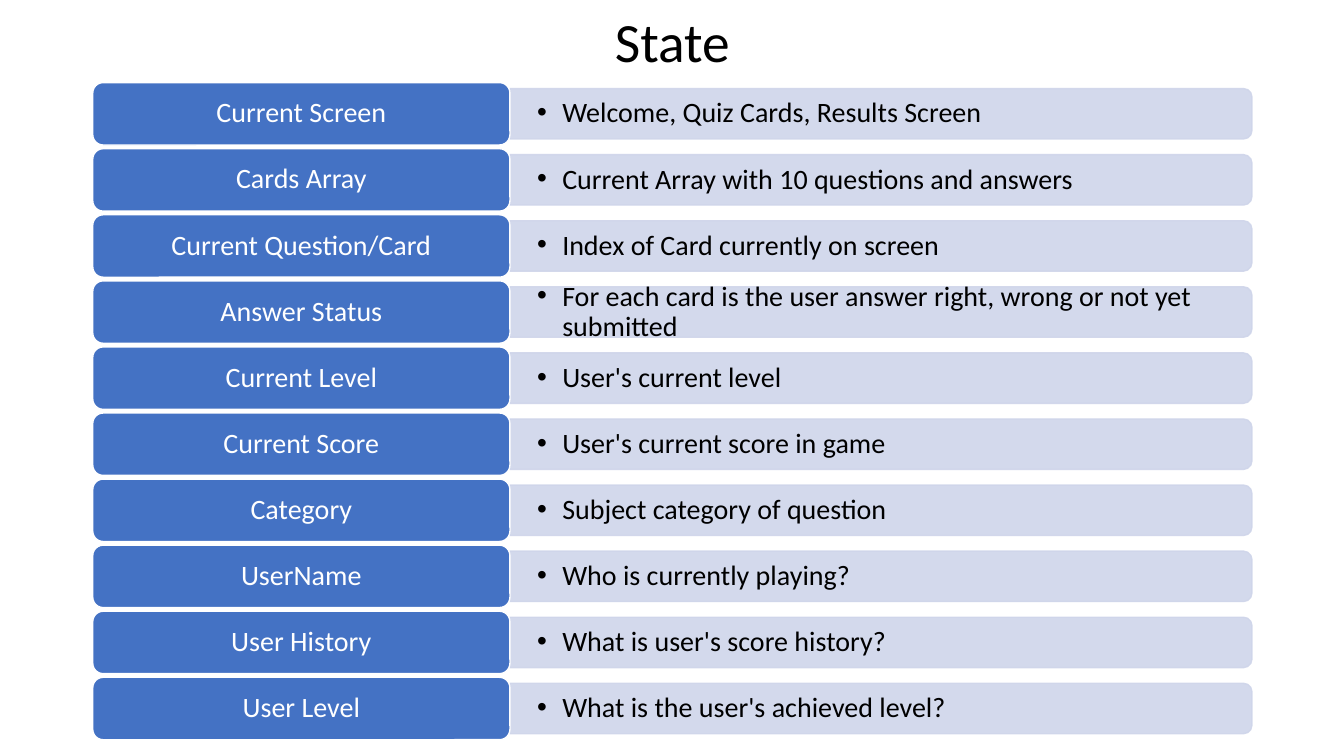
from typing import Any, NamedTuple

from lxml.etree import SubElement as Sub
from pptx import Presentation
from pptx.dml.color import RGBColor as Rgb
from pptx.enum.shapes import MSO_SHAPE as Kind
from pptx.enum.text import MSO_ANCHOR as Anchor, MSO_AUTO_SIZE as Auto, PP_ALIGN as Align
from pptx.oxml.ns import qn
from pptx.util import Pt

BLUE, PALE, WHITE, BLACK = "4472C4", "CFD5EA", "FFFFFF", "000000"
FONT = "Calibri"

# Layout in points
LEFT, TOP, PITCH = 66.24, 59, 47.2
NAME_W, NAME_H = 298, 44.6
BAR_X, BAR_W, BAR_H = LEFT + NAME_W, 530, 36


class Row(NamedTuple):
    name: str
    note: str


ROWS = [
    Row("Current Screen", "Welcome, Quiz Cards, Results Screen"),
    Row("Cards Array", "Current Array with 10 questions and answers"),
    Row("Current Question/Card", "Index of Card currently on screen"),
    Row("Answer Status", "For each card is the user answer right, wrong or not yet submitted"),
    Row("Current Level", "User's current level"),
    Row("Current Score", "User's current score in game"),
    Row("Category", "Subject category of question"),
    Row("UserName", "Who is currently playing?"),
    Row("User History", "What is user's score history?"),
    Row("User Level", "What is the user's achieved level?"),
]


def apply(item: Any, form: dict[str, Any]) -> None:
    for key, val in form.items():
        setattr(item, key, val)


def tint(item: Any, color: str) -> None:
    item.rgb = Rgb.from_string(color)


def place(x: float, y: float, w: float, h: float) -> dict[str, Any]:
    return dict(left=Pt(x), top=Pt(y), width=Pt(w), height=Pt(h))


def write(shape: Any, text: str, size: float, color: str, align: Any,
          side: float, edge: float) -> Any:
    frame = shape.text_frame
    apply(frame, dict(
        text=text, word_wrap=True, auto_size=Auto.NONE, vertical_anchor=Anchor.MIDDLE,
        margin_left=Pt(side), margin_right=Pt(side),
        margin_top=Pt(edge), margin_bottom=Pt(edge)))
    para = frame.paragraphs[0]
    apply(para, dict(alignment=align, line_spacing=0.9))
    font = para.runs[0].font
    apply(font, dict(name=FONT, size=Pt(size)))
    tint(font.color, color)
    return para


def block(kind: Any, box: dict[str, Any], fill: str, line: str) -> Any:
    shape = slide.shapes.add_shape(kind, *box.values())
    shape.shadow.inherit = False
    shape.fill.solid()
    tint(shape.fill.fore_color, fill)
    shape.line.width = Pt(1)
    tint(shape.line.color, line)
    return shape


def add_bar(mid: float) -> None:
    # Turned a quarter so that the round corners face right
    center = BAR_X + BAR_W / 2
    box = place(center - BAR_H / 2, mid - BAR_W / 2, BAR_H, BAR_W)
    bar = block(Kind.ROUND_2_SAME_RECTANGLE, box, PALE, PALE)
    bar.rotation = 90
    for color in bar._element.spPr.iter(qn("a:srgbClr")):
        Sub(color, qn("a:alpha"), val="90000")


def add_note(text: str, mid: float) -> None:
    box = place(BAR_X, mid - 16.2, 528.5, 32.4)
    note = slide.shapes.add_textbox(*box.values())
    para = write(note, text, 20, BLACK, Align.LEFT, 19.4, 10)
    props = para._p.get_or_add_pPr()
    props.set("marL", str(Pt(18)))
    props.set("indent", str(Pt(-18)))
    Sub(props, qn("a:buFont"), typeface="Arial")
    Sub(props, qn("a:buChar"), char="•")


def add_row(row: Row, top: float) -> None:
    mid = top + NAME_H / 2
    add_bar(mid)
    add_note(row.note, mid)
    box = place(LEFT, top, NAME_W, NAME_H)
    label = block(Kind.ROUNDED_RECTANGLE, box, BLUE, WHITE)
    write(label, row.name, 20, WHITE, Align.CENTER, 8, 5)


# Slide and title
deck = Presentation()
apply(deck, dict(slide_width=Pt(960), slide_height=Pt(540)))
slide = deck.slides.add_slide(deck.slide_layouts[5])
title = slide.shapes.title
apply(title, place(LEFT, 11.5, 828, 41))
write(title, "State", 39.6, BLACK, Align.CENTER, 7.2, 3.6)

# State rows
for num, row in enumerate(ROWS):
    add_row(row, TOP + num * PITCH)

deck.save("out.pptx")
